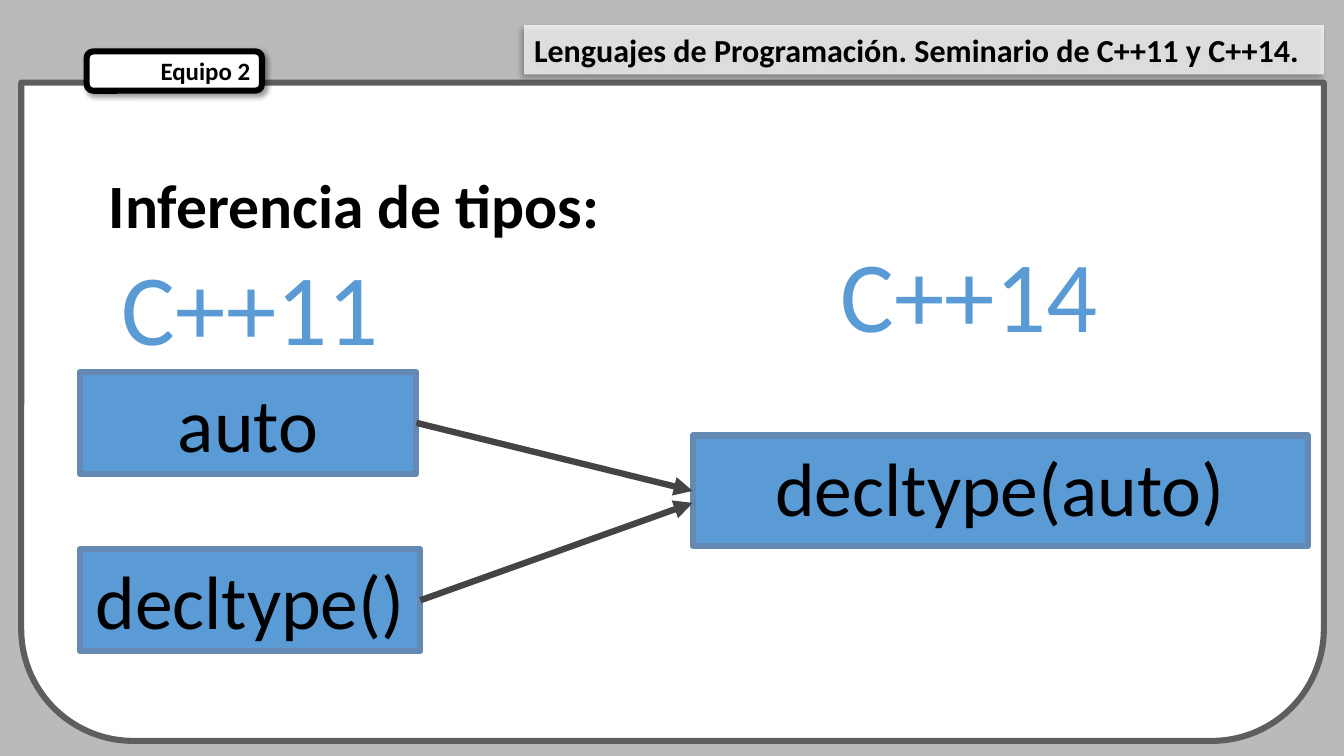
from dataclasses import dataclass

from lxml import etree
from pptx import Presentation
from pptx.dml.color import RGBColor
from pptx.enum.shapes import MSO_CONNECTOR, MSO_SHAPE
from pptx.enum.text import MSO_ANCHOR, MSO_AUTO_SIZE, PP_ALIGN
from pptx.oxml.ns import qn
from pptx.util import Inches, Pt

RECT = MSO_SHAPE.RECTANGLE
ROUNDED = MSO_SHAPE.ROUNDED_RECTANGLE
ROUND_PAIR = MSO_SHAPE.ROUND_2_SAME_RECTANGLE
STRAIGHT = MSO_CONNECTOR.STRAIGHT
LEFT, CENTER, RIGHT = PP_ALIGN.LEFT, PP_ALIGN.CENTER, PP_ALIGN.RIGHT
TOP, MIDDLE = MSO_ANCHOR.TOP, MSO_ANCHOR.MIDDLE
GROW, FIXED = MSO_AUTO_SIZE.SHAPE_TO_FIT_TEXT, MSO_AUTO_SIZE.NONE
LEFT_SIDE, RIGHT_SIDE = 1, 3

WIDTH, HEIGHT = Inches(13.33), Inches(7.5)


@dataclass(frozen=True)
class Theme:
    font: str = "Calibri"
    backdrop: str = "BABABA"
    paper: str = "FFFFFF"
    ink: str = "000000"
    frame: str = "5E5E5E"
    accent: str = "5B9BD5"
    accent_edge: str = "648AB4"
    arrow: str = "444444"
    team_size: float = 17.8
    course_size: float = 22.9
    title_size: float = 44
    version_size: float = 72
    keyword_size: float = 54
    edge: float = 4.33
    arrow_width: float = 4.5


THEME = Theme()


def across(percent):
    return round(WIDTH * percent / 100)


def down(percent):
    return round(HEIGHT * percent / 100)


def place(left, top, width, height):
    """Turn percentages of the slide into lengths."""
    return across(left), down(top), across(width), down(height)


def write(shape, text, *, size, color=THEME.ink, bold=False, align=LEFT,
          anchor=TOP, wrap=True, fit=GROW):
    frame = shape.text_frame
    frame.word_wrap = wrap
    frame.auto_size = fit
    frame.vertical_anchor = anchor
    para = frame.paragraphs[0]
    para.alignment = align
    span = para.add_run()
    span.text = text
    span.font.name = THEME.font
    span.font.size = Pt(size)
    span.font.bold = bold
    span.font.color.rgb = RGBColor.from_string(color)


def add_box(page, kind, area, fill, edge=None):
    box = page.shapes.add_shape(kind, *place(*area))
    box.shadow.inherit = False
    box.fill.solid()
    box.fill.fore_color.rgb = RGBColor.from_string(fill)
    if edge:
        box.line.color.rgb = RGBColor.from_string(edge)
        box.line.width = Pt(THEME.edge)
    else:
        box.line.fill.background()
    return box


def add_label(page, area, text, **style):
    label = page.shapes.add_textbox(*place(*area))
    write(label, text, **style)


def add_keyword(page, area, text, wrap=True):
    box = add_box(page, RECT, area, THEME.accent, THEME.accent_edge)
    write(box, text, size=THEME.keyword_size, align=CENTER, wrap=wrap)
    return box


def set_alpha(color, percent):
    etree.SubElement(color, qn("a:alpha"), val=str(percent * 1000))


def cast_shadow(box, angle):
    effects = box._element.spPr.find(qn("a:effectLst"))
    shadow = etree.SubElement(
        effects, qn("a:outerShdw"), blurRad=str(Pt(4)), dist=str(Pt(3)),
        dir=str(angle * 60000), algn="tl", rotWithShape="0")
    color = etree.SubElement(shadow, qn("a:srgbClr"), val=THEME.ink)
    set_alpha(color, 40)


def add_arrow(page, source, end_x, end_y):
    arrow = page.shapes.add_connector(
        STRAIGHT, source.left + source.width, source.top, end_x, end_y)
    arrow.begin_connect(source, RIGHT_SIDE)
    arrow.line.color.rgb = RGBColor.from_string(THEME.arrow)
    arrow.line.width = Pt(THEME.arrow_width)
    etree.SubElement(arrow.line._get_or_add_ln(), qn("a:tailEnd"),
                     type="triangle")
    etree.SubElement(arrow._element.spPr, qn("a:effectLst"))
    return arrow


def add_frame(page):
    """Paper panel, team tab and course banner."""
    panel = add_box(page, ROUND_PAIR, (1.58, 10.93, 96.92, 87.07),
                    THEME.paper, THEME.frame)
    panel.adjustments[0] = 0
    panel.adjustments[1] = 0.17

    team = add_box(page, ROUNDED, (6.45, 6.8, 13.05, 5.2),
                   THEME.paper, THEME.ink)
    cast_shadow(team, 45)
    write(team, "Equipo 2", size=THEME.team_size, bold=True, align=RIGHT,
          anchor=MIDDLE, fit=FIXED)

    course = add_box(page, RECT, (39, 3.33, 59.5, 6.53), THEME.paper)
    set_alpha(course._element.spPr.find(qn("a:solidFill"))[0], 73)
    cast_shadow(course, 135)
    write(course, "Lenguajes de Programación. Seminario de C++11 y C++14.",
          size=THEME.course_size, bold=True)


def add_inference(page):
    """Title, the two language versions and their keywords."""
    add_label(page, (7.35, 21.47, 38.4, 11.2), "Inferencia de tipos:",
              size=THEME.title_size, bold=True)
    for text, left, top in (("C++11", 8.18, 31.73), ("C++14", 61.67, 30)):
        add_label(page, (left, top, 20.85, 17.47), text,
                  size=THEME.version_size, color=THEME.accent,
                  align=CENTER, wrap=False)

    auto = add_keyword(page, (5.93, 49.2, 25.05, 13.47), "auto")
    decltype = add_keyword(page, (5.93, 72.67, 25.35, 13.47), "decltype()",
                           wrap=False)
    merged = add_keyword(page, (51.54, 57.6, 45.76, 14.67), "decltype(auto)")

    # Both keywords lead to the merged form
    first = add_arrow(page, auto, merged.left, merged.top)
    first.end_connect(merged, LEFT_SIDE)
    add_arrow(page, decltype, merged.left, down(66.53))


def main():
    deck = Presentation()
    deck.slide_width, deck.slide_height = WIDTH, HEIGHT
    page = deck.slides.add_slide(deck.slide_layouts[6])
    page.background.fill.solid()
    page.background.fill.fore_color.rgb = RGBColor.from_string(THEME.backdrop)
    add_frame(page)
    add_inference(page)
    deck.save("out.pptx")


if __name__ == "__main__":
    main()
